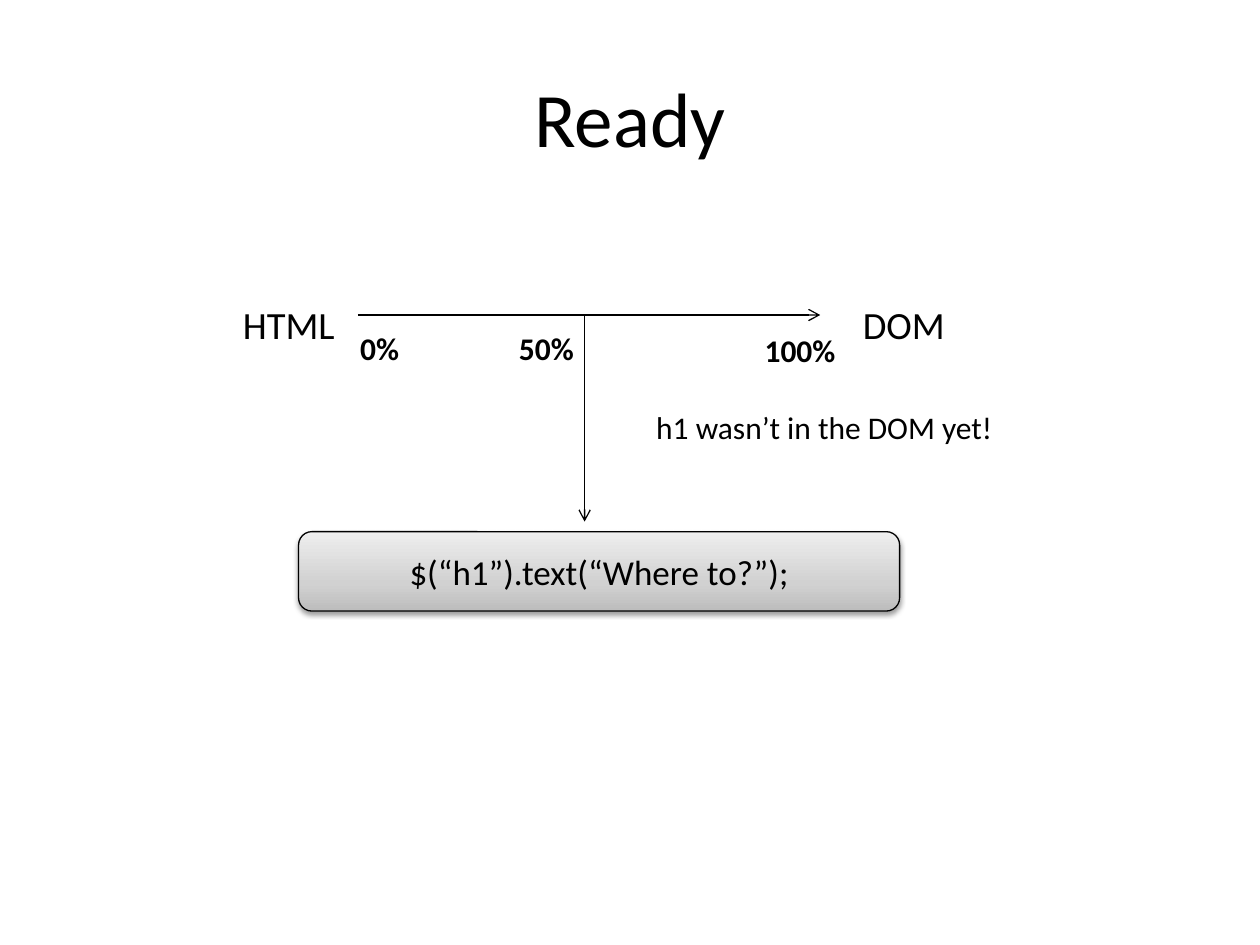
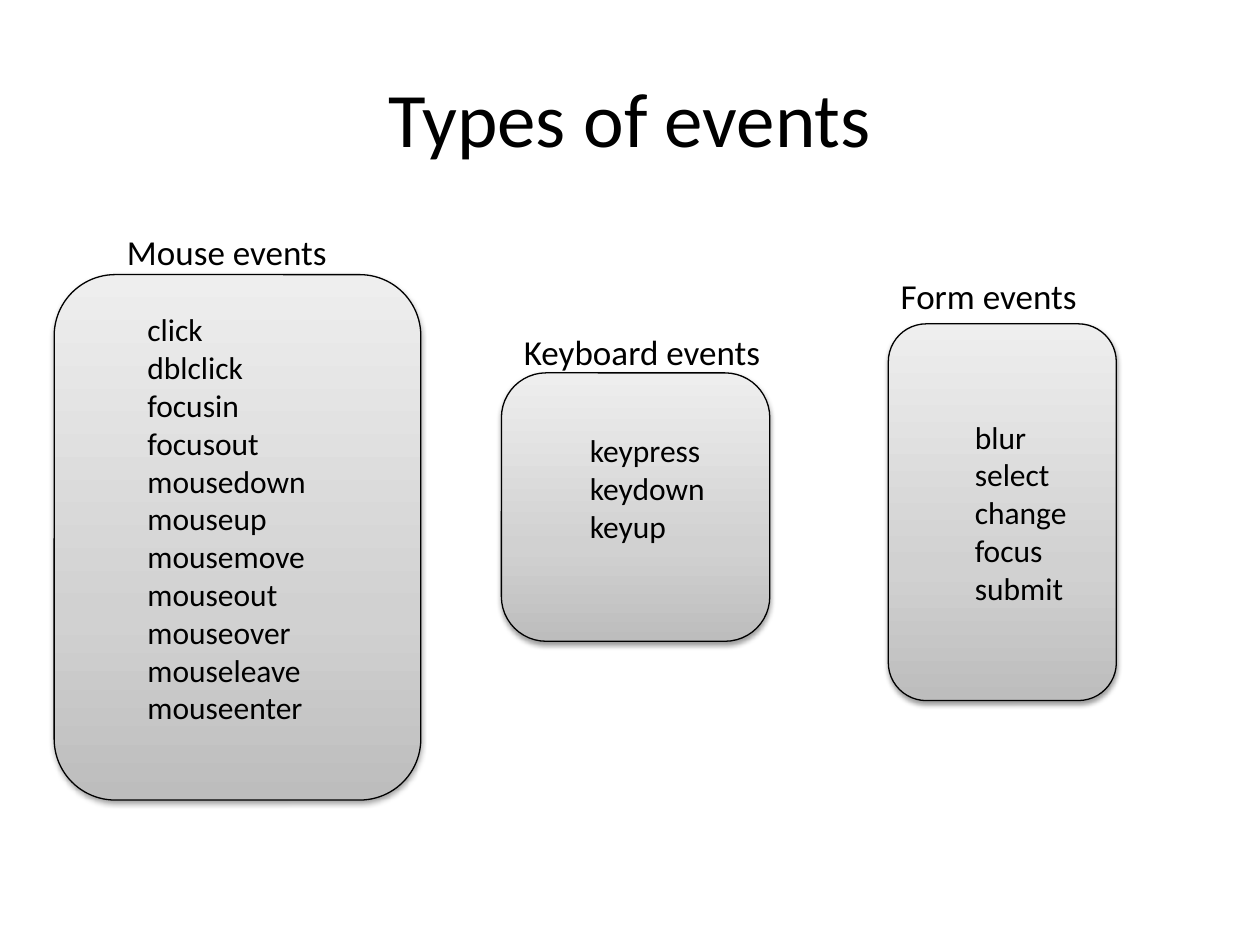
"""Build two slides on page readiness and on the types of events."""
from dataclasses import dataclass

from lxml import etree
from pptx import Presentation
from pptx.dml.color import RGBColor
from pptx.enum.shapes import MSO_CONNECTOR, MSO_SHAPE
from pptx.enum.text import MSO_ANCHOR, MSO_AUTO_SIZE, PP_ALIGN
from pptx.oxml.ns import qn
from pptx.util import Emu, Pt

EMU_PER_PX = 9144
LEFT, CENTER = PP_ALIGN.LEFT, PP_ALIGN.CENTER
TOP, MIDDLE = MSO_ANCHOR.TOP, MSO_ANCHOR.MIDDLE
GROW = MSO_AUTO_SIZE.SHAPE_TO_FIT_TEXT
ROUNDED = MSO_SHAPE.ROUNDED_RECTANGLE
STRAIGHT = MSO_CONNECTOR.STRAIGHT
BLANK_LAYOUT = 6


@dataclass(frozen=True)
class Theme:
    font: str = "Calibri"
    ink: str = "000000"
    panel_stops: tuple = ((0, "BDBDBD"), (35, "D1D1D1"), (100, "EEEEEE"))
    shadow_alpha: int = 38
    shadow_blur: float = 3.1
    shadow_distance: float = 1.6
    line_width: float = 0.75
    title_size: int = 44
    endpoint_size: int = 22
    heading_size: int = 20
    body_size: int = 18


THEME = Theme()


@dataclass(frozen=True)
class Box:
    left: int
    top: int
    width: int
    height: int

    def emu(self) -> tuple:
        return tuple(px(n) for n in (self.left, self.top, self.width, self.height))


@dataclass(frozen=True)
class Label:
    text: str
    box: Box
    size: int
    bold: bool = False


@dataclass(frozen=True)
class Arrow:
    start: tuple
    end: tuple


@dataclass(frozen=True)
class Panel:
    lines: tuple
    box: Box
    size: int = THEME.body_size
    align: PP_ALIGN = LEFT
    indent: int = 50
    bottom_inset: int = 5


TITLE_BOX = Box(50, 30, 900, 125)
TRAILING_LINE_INSET = 35
TIMELINE_Y, HALFWAY_X = 250, 464

READY_ARROWS = (
    Arrow((284, TIMELINE_Y), (651, TIMELINE_Y)),
    Arrow((HALFWAY_X, TIMELINE_Y), (HALFWAY_X, 414)),
)
READY_PANELS = (
    Panel(("$(“h1”).text(“Where to?”);",), Box(237, 422, 477, 63),
          THEME.heading_size, CENTER, indent=0),
)
READY_LABELS = (
    Label("DOM", Box(675, 234, 164, 47), THEME.endpoint_size),
    Label("HTML", Box(183, 234, 164, 47), THEME.endpoint_size),
    Label("0%", Box(276, 256, 164, 40), THEME.body_size, bold=True),
    Label("50%", Box(402, 256, 164, 40), THEME.body_size, bold=True),
    Label("100%", Box(597, 258, 164, 40), THEME.body_size, bold=True),
    Label("h1 wasn’t in the DOM yet!", Box(511, 319, 367, 40), THEME.body_size),
)

EVENT_PANELS = (
    Panel(("click", "dblclick", "focusin", "focusout", "mousedown", "mouseup",
           "mousemove", "mouseout", "mouseover", "mouseleave", "mouseenter"),
          Box(43, 218, 291, 417), bottom_inset=TRAILING_LINE_INSET),
    Panel(("keypress", "keydown", "keyup"), Box(398, 296, 213, 213),
          bottom_inset=TRAILING_LINE_INSET),
    Panel(("blur", "select", "change", "focus", "submit"), Box(705, 257, 181, 299)),
)
EVENT_LABELS = (
    Label("Mouse events", Box(91, 178, 197, 44), THEME.heading_size),
    Label("Keyboard events", Box(406, 257, 213, 44), THEME.heading_size),
    Label("Form events", Box(705, 213, 197, 44), THEME.heading_size),
)


def px(length: int) -> Emu:
    return Emu(length * EMU_PER_PX)


def add_node(parent, tag: str, **attributes):
    values = {key: str(value) for key, value in attributes.items()}
    return etree.SubElement(parent, qn(tag), values)


def write_lines(frame, lines: tuple, size: int, align: PP_ALIGN = LEFT,
                bold: bool = False, indent: int = 0) -> None:
    frame.word_wrap = True
    for index, line in enumerate(lines):
        paragraph = frame.add_paragraph() if index else frame.paragraphs[0]
        paragraph.alignment = align
        if indent:
            properties = paragraph._p.get_or_add_pPr()
            properties.set("marL", str(px(indent)))
            properties.set("indent", "0")
        run = paragraph.add_run()
        run.text = line
        run.font.name = THEME.font
        run.font.size = Pt(size)
        run.font.bold = bold
        run.font.color.rgb = RGBColor.from_string(THEME.ink)


def style_line(line) -> None:
    line.color.rgb = RGBColor.from_string(THEME.ink)
    line.width = Pt(THEME.line_width)


def draw_title(slide, title: str) -> None:
    frame = slide.shapes.add_textbox(*TITLE_BOX.emu()).text_frame
    frame.vertical_anchor = MIDDLE
    write_lines(frame, (title,), THEME.title_size, CENTER)


def draw_label(slide, label: Label) -> None:
    frame = slide.shapes.add_textbox(*label.box.emu()).text_frame
    frame.vertical_anchor = TOP
    write_lines(frame, (label.text,), label.size, bold=label.bold)
    frame.auto_size = GROW


def draw_arrow(slide, arrow: Arrow) -> None:
    ends = (px(n) for n in arrow.start + arrow.end)
    connector = slide.shapes.add_connector(STRAIGHT, *ends)
    style_line(connector.line)
    properties = connector._element.spPr
    add_node(properties.find(qn("a:ln")), "a:tailEnd", type="arrow")
    add_node(properties, "a:effectLst")


def fill_gradient(shape) -> None:
    shape.fill.gradient()
    shape.fill.gradient_angle = 90
    stops = shape._element.spPr.find(".//" + qn("a:gsLst"))
    for stop in list(stops):
        stops.remove(stop)
    for percent, color in THEME.panel_stops:
        stop = add_node(stops, "a:gs", pos=percent * 1000)
        add_node(stop, "a:srgbClr", val=color)


def cast_shadow(shape) -> None:
    shape.shadow.inherit = False
    effects = shape._element.spPr.find(qn("a:effectLst"))
    shadow = add_node(effects, "a:outerShdw", blurRad=Pt(THEME.shadow_blur),
                      dist=Pt(THEME.shadow_distance), dir=90 * 60000, rotWithShape=0)
    color = add_node(shadow, "a:srgbClr", val=THEME.ink)
    add_node(color, "a:alpha", val=THEME.shadow_alpha * 1000)


def draw_panel(slide, panel: Panel) -> None:
    shape = slide.shapes.add_shape(ROUNDED, *panel.box.emu())
    fill_gradient(shape)
    style_line(shape.line)
    cast_shadow(shape)
    frame = shape.text_frame
    frame.vertical_anchor = MIDDLE
    frame.margin_bottom = px(panel.bottom_inset)
    write_lines(frame, panel.lines, panel.size, panel.align, indent=panel.indent)


def draw_slide(deck, title: str, panels: tuple, labels: tuple,
               arrows: tuple = ()) -> None:
    slide = deck.slides.add_slide(deck.slide_layouts[BLANK_LAYOUT])
    draw_title(slide, title)
    for panel in panels:
        draw_panel(slide, panel)
    for arrow in arrows:
        draw_arrow(slide, arrow)
    for label in labels:
        draw_label(slide, label)


def main() -> None:
    deck = Presentation()
    deck.slide_width, deck.slide_height = px(1000), px(750)
    draw_slide(deck, "Ready", READY_PANELS, READY_LABELS, READY_ARROWS)
    draw_slide(deck, "Types of events", EVENT_PANELS, EVENT_LABELS)
    deck.save("out.pptx")


if __name__ == "__main__":
    main()
